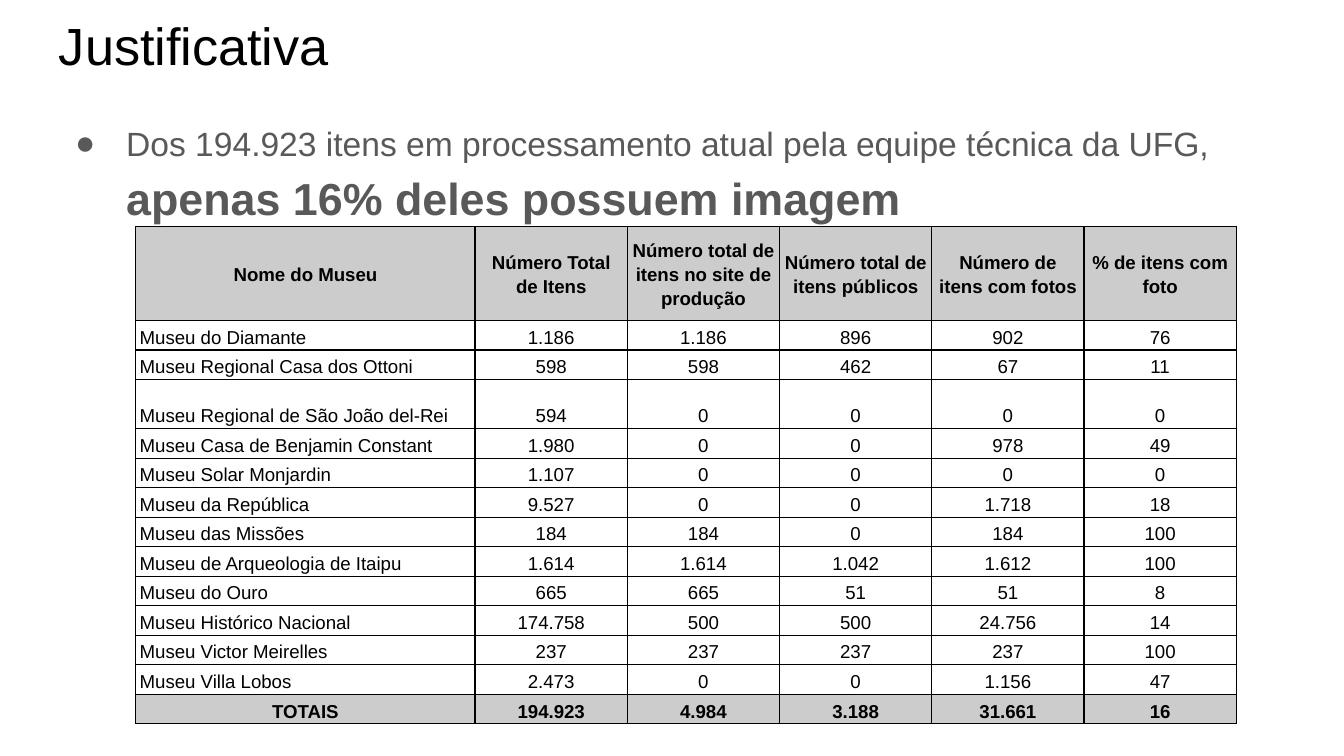
from pptx import Presentation
from pptx.dml.color import RGBColor
from pptx.enum.text import MSO_ANCHOR, PP_ALIGN
from pptx.oxml import parse_xml
from pptx.oxml.ns import nsdecls
from pptx.util import Inches, Pt

THEME = {
    "font": "Arial",
    "ink": "000000", "body": "595959", "band": "CCCCCC",
    "title_pt": 28, "body_pt": 18, "strong_pt": 24, "cell_pt": 10, "rule_pt": 0.75,
}

prs = Presentation()
prs.slide_width = Inches(10)
prs.slide_height = prs.slide_width * 9 // 16
# One percent of the slide's width and height
X, Y = prs.slide_width / 100, prs.slide_height / 100
s = prs.slides.add_slide(prs.slide_layouts[6])


def add_run(p, text, size, color, bold=False):
    r = p.add_run()
    r.text = text
    r.font.name, r.font.size, r.font.bold = THEME["font"], Pt(size), bold
    r.font.color.rgb = RGBColor.from_string(color)


def add_text_frame(top, height):
    sp = s.shapes.add_textbox(int(3.41 * X), int(top * Y), int(93.18 * X), int(height * Y))
    tf = sp.text_frame
    tf.word_wrap = True
    tf.margin_left = tf.margin_right = tf.margin_top = tf.margin_bottom = Inches(0.1)
    return tf


# Title
tf = add_text_frame(0, 11.2)
add_run(tf.paragraphs[0], "Justificativa", THEME["title_pt"], THEME["ink"])

# Bulleted statement
tf = add_text_frame(13.65, 82.3)
p = tf.paragraphs[0]
p.line_spacing = 1.15
add_run(p, "Dos 194.923 itens em processamento atual pela equipe técnica da UFG, ",
        THEME["body_pt"], THEME["body"])
add_run(p, "apenas 16% deles possuem imagem", THEME["strong_pt"], THEME["body"], bold=True)
pPr = p._p.get_or_add_pPr()
pPr.set("marL", str(Inches(0.5)))
pPr.set("indent", str(Inches(-0.38)))
for bullet in (
    f'<a:buClr {nsdecls("a")}><a:srgbClr val="{THEME["body"]}"/></a:buClr>',
    f'<a:buSzPts {nsdecls("a")} val="{THEME["body_pt"] * 100}"/>',
    f'<a:buFont {nsdecls("a")} typeface="{THEME["font"]}"/>',
    f'<a:buChar {nsdecls("a")} char="●"/>',
):
    pPr.append(parse_xml(bullet))

# Museum figures
rows = [
    ("Nome do Museu", "Número Total de Itens", "Número total de itens no site de produção",
     "Número total de itens públicos", "Número de itens com fotos", "% de itens com foto"),
    ("Museu do Diamante", "1.186", "1.186", "896", "902", "76"),
    ("Museu Regional Casa dos Ottoni", "598", "598", "462", "67", "11"),
    ("Museu Regional de São João del-Rei", "594", "0", "0", "0", "0"),
    ("Museu Casa de Benjamin Constant", "1.980", "0", "0", "978", "49"),
    ("Museu Solar Monjardin", "1.107", "0", "0", "0", "0"),
    ("Museu da República", "9.527", "0", "0", "1.718", "18"),
    ("Museu das Missões", "184", "184", "0", "184", "100"),
    ("Museu de Arqueologia de Itaipu", "1.614", "1.614", "1.042", "1.612", "100"),
    ("Museu do Ouro", "665", "665", "51", "51", "8"),
    ("Museu Histórico Nacional", "174.758", "500", "500", "24.756", "14"),
    ("Museu Victor Meirelles", "237", "237", "237", "237", "100"),
    ("Museu Villa Lobos", "2.473", "0", "0", "1.156", "47"),
    ("TOTAIS", "194.923", "4.984", "3.188", "31.661", "16"),
]
last = len(rows) - 1
col_widths = [25.25] + [11.33] * 5
row_heights = [12.4, 3.9, 3.9, 6.5] + [3.9] * 10

# Table grid
table = s.shapes.add_table(len(rows), len(col_widths), int(10.1 * X), int(30 * Y),
                           int(sum(col_widths) * X), int(sum(row_heights) * Y)).table
table.first_row = table.horz_banding = False
for col, width in zip(table.columns, col_widths):
    col.width = int(width * X)
for row, height in zip(table.rows, row_heights):
    row.height = int(height * Y)

# Table cells: header and totals are shaded and bold
for i, values in enumerate(rows):
    shaded = i in (0, last)
    for j, value in enumerate(values):
        cell = table.cell(i, j)
        cell.margin_left = cell.margin_right = Inches(0.03)
        cell.margin_top = cell.margin_bottom = Pt(1)
        cell.vertical_anchor = MSO_ANCHOR.MIDDLE if i == 0 else MSO_ANCHOR.BOTTOM
        if shaded:
            cell.fill.solid()
            cell.fill.fore_color.rgb = RGBColor.from_string(THEME["band"])
        else:
            cell.fill.background()
        tcPr = cell._tc.get_or_add_tcPr()
        for k, side in enumerate(("lnL", "lnR", "lnT", "lnB")):
            tcPr.insert(k, parse_xml(
                f'<a:{side} {nsdecls("a")} w="{Pt(THEME["rule_pt"])}"><a:solidFill>'
                f'<a:srgbClr val="{THEME["ink"]}"/></a:solidFill></a:{side}>'))
        p = cell.text_frame.paragraphs[0]
        p.alignment = PP_ALIGN.CENTER if shaded or j else PP_ALIGN.LEFT
        p.line_spacing = 1.15
        add_run(p, value, THEME["cell_pt"], THEME["ink"], bold=shaded)

prs.save("out.pptx")
